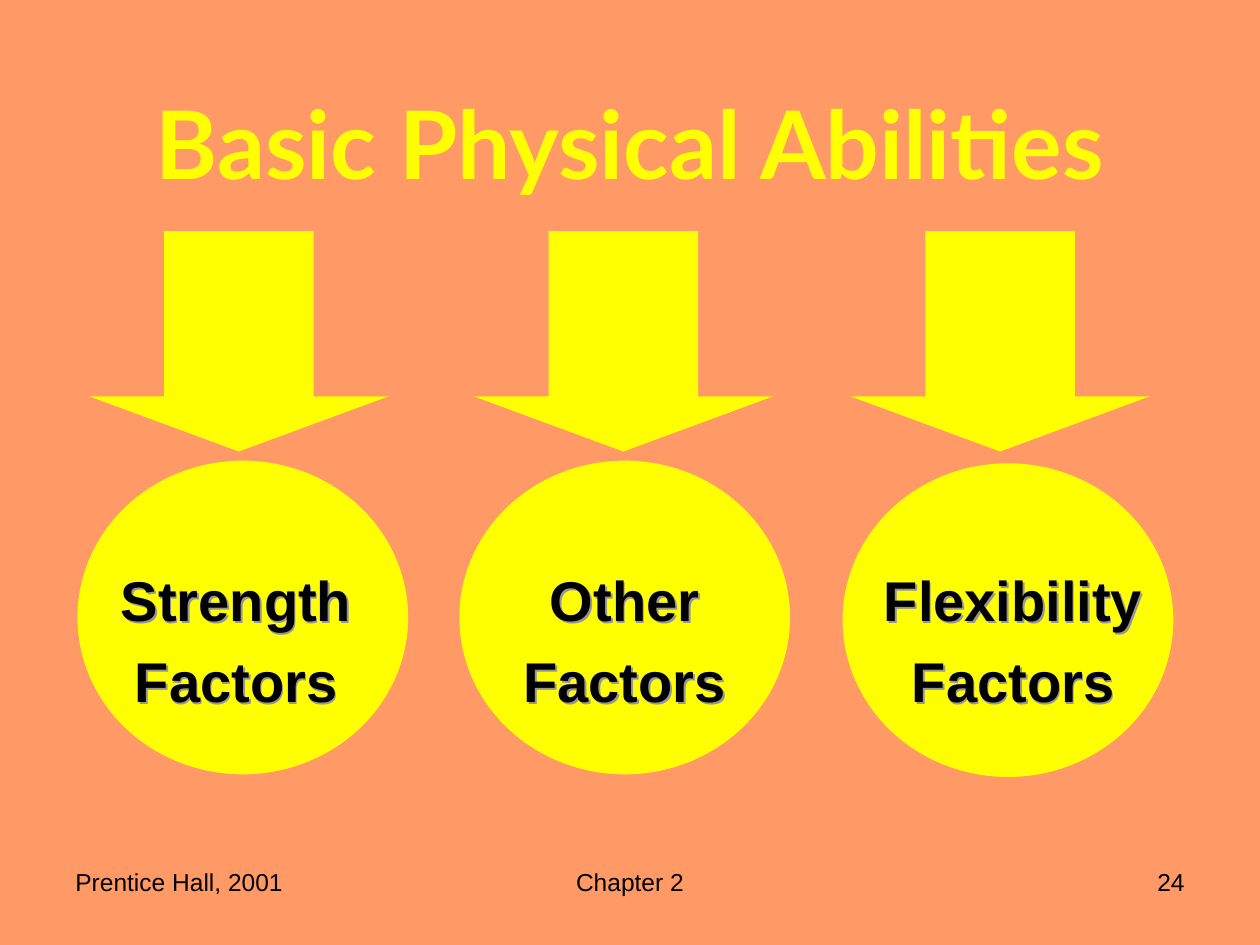
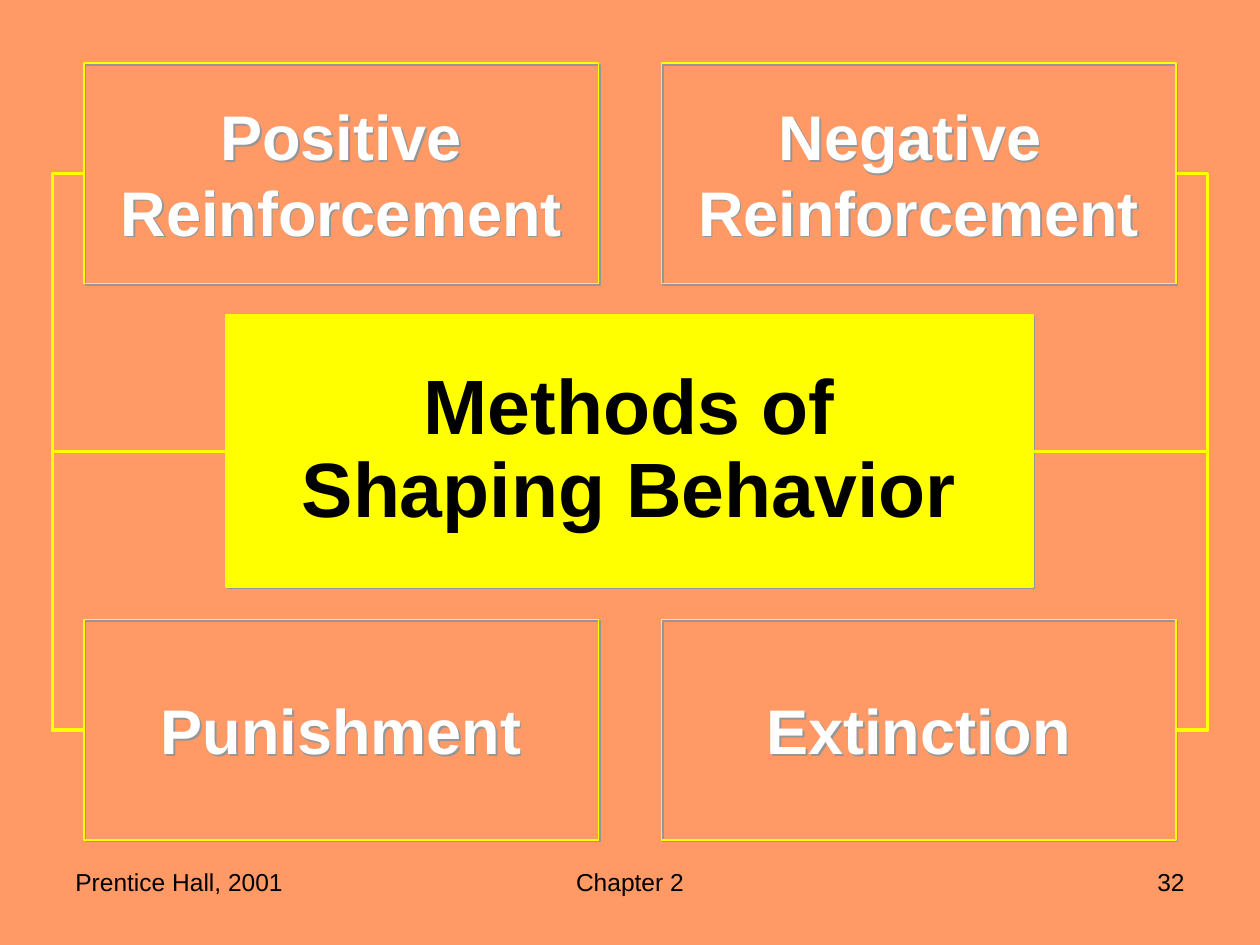
from lxml import etree
from pptx import Presentation
from pptx.dml.color import RGBColor
from pptx.enum.shapes import MSO_SHAPE as Shape
from pptx.enum.text import MSO_ANCHOR as Anchor, MSO_AUTO_SIZE as AutoSize, PP_ALIGN as Align
from pptx.oxml.ns import qn
from pptx.util import Pt

# Shared look
PX = 9525  # one px in EMU, 96 px to the inch
ORANGE = RGBColor(0xFF, 0x99, 0x66)
YELLOW = RGBColor(0xFF, 0xFF, 0x00)
GREY = RGBColor(0x96, 0x96, 0x96)
BLACK = RGBColor(0x00, 0x00, 0x00)
WHITE = RGBColor(0xFF, 0xFF, 0xFF)

TITLE = {"name": "Lato", "size": Pt(54), "bold": True, "color": YELLOW}
CENTRE = {"name": "Arial", "size": Pt(44), "bold": True, "color": BLACK}
METHOD = {"name": "Arial", "size": Pt(36), "bold": True, "color": WHITE}
FACTOR = {"name": "Arial", "size": Pt(32), "bold": True, "color": BLACK}
FOOTER = {"name": "Arial", "size": Pt(14), "bold": False, "color": BLACK}


def to_emu(*lengths):
    return [length * PX for length in lengths]


def write_text(shape, text, style, align=Align.CENTER, anchor=Anchor.MIDDLE,
               wrap=True, spacing=1.0):
    """Fill a shape with one paragraph for each line of the text."""
    frame = shape.text_frame
    frame.text = text
    frame.auto_size = AutoSize.NONE
    frame.word_wrap = wrap
    frame.vertical_anchor = anchor
    for paragraph in frame.paragraphs:
        paragraph.alignment = align
        paragraph.line_spacing = spacing
        for name, value in style.items():
            if name == "color":
                paragraph.font.color.rgb = value
            else:
                setattr(paragraph.font, name, value)


def set_shadow(shape):
    """Give a shape a small hard shadow, down and to the right."""
    shape.shadow.inherit = False
    effects = shape._element.spPr.find(qn("a:effectLst"))
    shadow = etree.SubElement(effects, qn("a:outerShdw"), dist=str(Pt(1.4)),
                              dir="2700000", algn="ctr", rotWithShape="0")
    etree.SubElement(shadow, qn("a:srgbClr"), val=str(GREY))


def set_line(shape, width):
    shape.line.color.rgb = YELLOW
    shape.line.width = Pt(width)


def add_solid(slide, kind, *box):
    shape = slide.shapes.add_shape(kind, *to_emu(*box))
    shape.shadow.inherit = False
    shape.fill.solid()
    shape.fill.fore_color.rgb = YELLOW
    shape.line.fill.background()
    return shape


def add_label(slide, text, style, box, **layout):
    label = slide.shapes.add_textbox(*to_emu(*box))
    write_text(label, text, style, anchor=Anchor.TOP, **layout)
    return label


def place_title(slide, text, style, box, **layout):
    title = slide.shapes.title
    title.left, title.top, title.width, title.height = to_emu(*box)
    write_text(title, text, style, **layout)
    return title


def add_method(slide, text, left, top):
    frame = slide.shapes.add_shape(Shape.RECTANGLE, *to_emu(left, top, 392, 168))
    frame.fill.background()
    set_line(frame, 1)
    set_shadow(frame)
    write_text(frame, text, METHOD, wrap=False)


def add_bracket(slide, points):
    builder = slide.shapes.build_freeform(*points[0], scale=PX)
    builder.add_line_segments(points[1:], close=False)
    bracket = builder.convert_to_shape()
    bracket.shadow.inherit = False
    bracket.fill.background()
    set_line(bracket, 2)


def add_slide(presentation, number):
    """Add a title-only slide with the shared footer."""
    slide = presentation.slides.add_slide(presentation.slide_layouts[5])
    for text, left, width, align in (
        ("Prentice Hall, 2001", 48, 224, Align.LEFT),
        ("Chapter 2", 328, 304, Align.CENTER),
        (str(number), 688, 224, Align.RIGHT),
    ):
        add_label(slide, text, FOOTER, (left, 656, width, 50), align=align)
    return slide


def build_abilities(presentation):
    slide = add_slide(presentation, 24)
    place_title(slide, "Basic Physical Abilities", TITLE, (48, 8, 864, 200))
    # Name, then left of arrow, left and top of circle, left of label
    for name, arrow_left, circle_left, circle_top, label_left in (
        ("Strength", 68, 59, 351, 56),
        ("Other", 361, 350, 351, 352),
        ("Flexibility", 648, 642, 353, 648),
    ):
        arrow = add_solid(slide, Shape.DOWN_ARROW, arrow_left, 176, 228, 168)
        arrow.adjustments[0], arrow.adjustments[1] = 0.5, 0.25
        add_solid(slide, Shape.OVAL, circle_left, circle_top, 252, 239)
        label = add_label(slide, f"{name}\nFactors", FACTOR,
                          (label_left, 416, 248, 132), spacing=1.2)
        set_shadow(label)


def build_methods(presentation):
    slide = add_slide(presentation, 32)
    # Central panel
    panel = place_title(slide, "Methods of\nShaping Behavior", CENTRE,
                        (172, 240, 615, 207), wrap=False, spacing=0.9)
    panel.fill.solid()
    panel.fill.fore_color.rgb = YELLOW
    set_line(panel, 1)
    set_shadow(panel)
    # Methods in the corners, each joined to the panel
    sides = ((64, 64, 40, 172), (504, 896, 920, 787))
    rows = ((48, ("Positive\nReinforcement", "Negative \nReinforcement")),
            (472, ("Punishment", "Extinction")))
    for top, names in rows:
        middle = top + 84
        for name, (left, edge, outer, inner) in zip(names, sides):
            add_method(slide, name, left, top)
            add_bracket(slide, [(edge, middle), (outer, middle),
                                (outer, 344), (inner, 344)])


def main():
    presentation = Presentation()
    presentation.slide_width, presentation.slide_height = to_emu(960, 720)
    background = presentation.slide_master.background.fill
    background.solid()
    background.fore_color.rgb = ORANGE
    build_abilities(presentation)
    build_methods(presentation)
    presentation.save("out.pptx")


if __name__ == "__main__":
    main()
